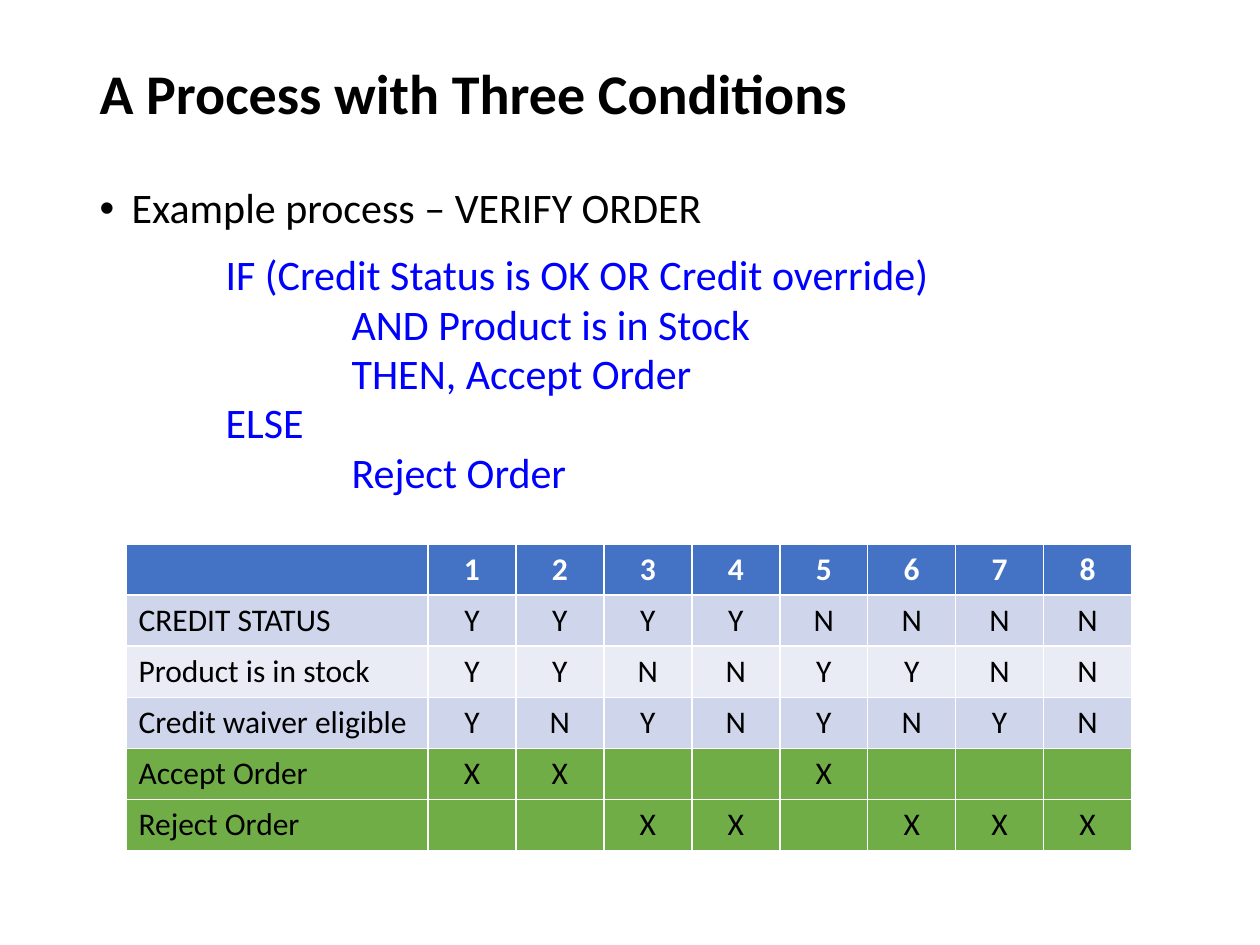
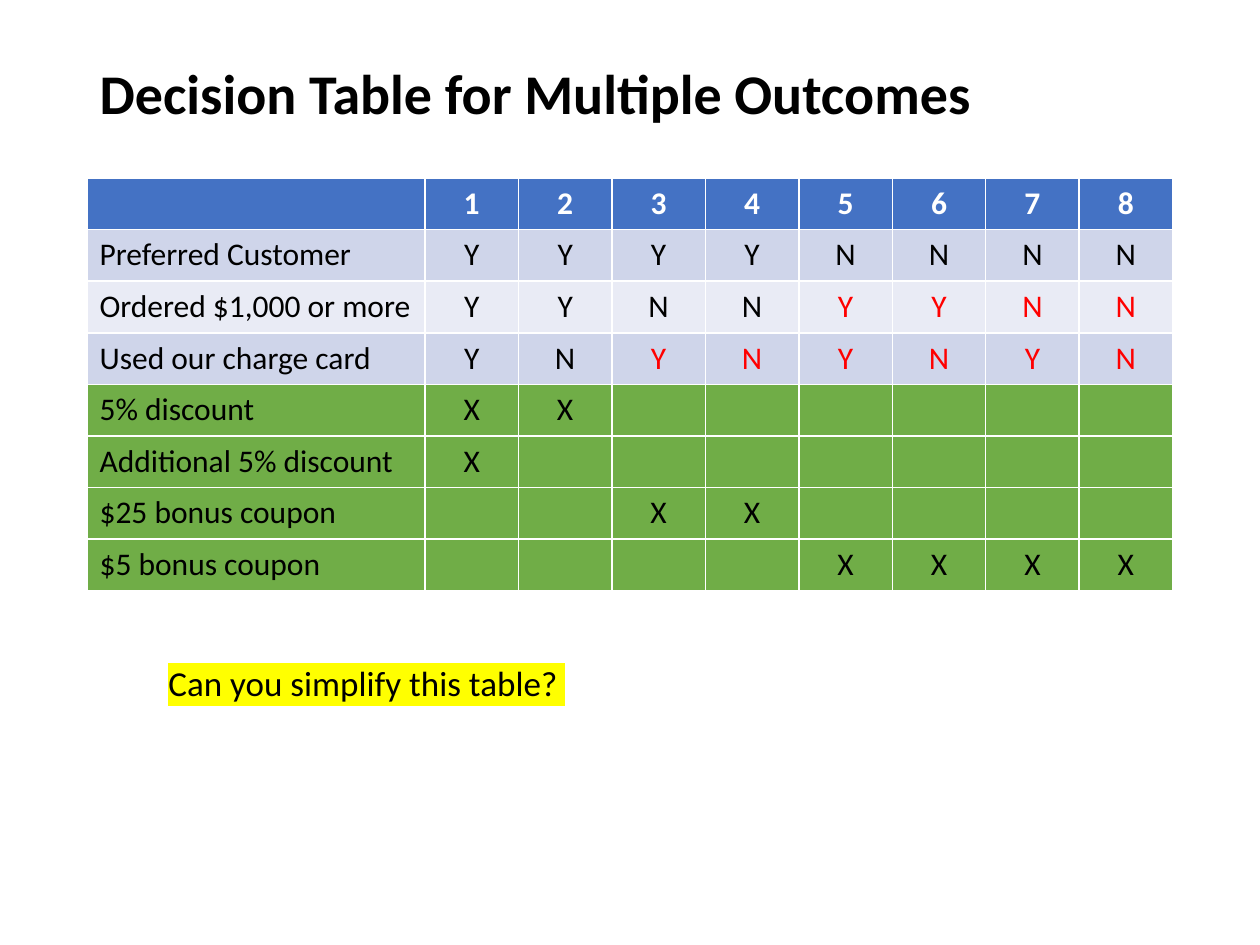
from dataclasses import dataclass

from lxml import etree
from pptx import Presentation
from pptx import util as u
from pptx.dml.color import RGBColor
from pptx.enum import text
from pptx.oxml import ns


@dataclass(frozen=True)
class Theme:
    font: str = "Calibri"
    ink: str = "000000"
    white: str = "FFFFFF"
    code: str = "0000FF"
    alert: str = "FF0000"
    mark: str = "FFFF00"
    head: str = "4472C4"
    bands: tuple = ("CFD5EA", "E9EBF5")
    act: str = "70AD47"
    title: int = 32
    body: int = 24
    note: int = 20
    cell: int = 18


theme = Theme()
left, mid = text.PP_ALIGN.LEFT, text.PP_ALIGN.CENTER


def px(n):
    """Turn pixels, 126 to the inch, into EMU."""
    return u.Emu(round(n * 914400 / 126))


def write(para, words, size, color=theme.ink, bold=False, align=left,
          margin=0, hang=0, bullet=True, glow=None):
    """Fill a paragraph; margin and hang are in px, glow is a highlight."""
    para.alignment = align
    props = para._p.get_or_add_pPr()
    props.set("marL", str(px(margin)))
    props.set("indent", str(-px(hang)))
    if not bullet:
        etree.SubElement(props, ns.qn("a:buNone"))
    run = para.add_run()
    run.text = words
    font = run.font
    font.name, font.size, font.bold = theme.font, u.Pt(size), bold
    font.color.rgb = RGBColor.from_string(color)
    if glow:
        light = etree.Element(ns.qn("a:highlight"))
        etree.SubElement(light, ns.qn("a:srgbClr"), val=glow)
        run._r.rPr.find(ns.qn("a:solidFill")).addnext(light)


deck = Presentation()
deck.slide_width, deck.slide_height = px(1260), px(945)

# Each row: label, marks for rules 1 to 8, first rule set in red (if any).
# Each table: left, top, width, height, label column width.
pages = [
    ("A Process with Three Conditions", "Title and Content",
     (126, 544, 1006, 306, 302),
     [("CREDIT STATUS", "YYYYNNNN", None),
      ("Product is in stock", "YYNNYYNN", None),
      ("Credit waiver eligible", "YNYNYNYN", None),
      ("Accept Order", "XX  X   ", None),
      ("Reject Order", "  XX XXX", None)]),
    ("Decision Table for Multiple Outcomes", "Title Only",
     (87, 178, 1086, 413, 338),
     [("Preferred Customer", "YYYYNNNN", None),
      ("Ordered $1,000 or more", "YYNNYYNN", 5),
      ("Used our charge card", "YNYNYNYN", 3),
      ("5% discount", "XX      ", None),
      ("Additional 5% discount", "X       ", None),
      ("$25 bonus coupon", "  XX    ", None),
      ("$5 bonus coupon", "    XXXX", None)]),
]

slides = []
for name, layout, (x, y, wide, high, first), rules in pages:
    slide = deck.slides.add_slide(deck.slide_layouts.get_by_name(layout))
    slides.append(slide)
    title = slide.shapes.title
    title.left, title.top, title.width, title.height = map(px, (87, 50, 1086, 93))
    frame = title.text_frame
    frame.auto_size = text.MSO_AUTO_SIZE.NONE
    frame.vertical_anchor = text.MSO_ANCHOR.MIDDLE
    frame.paragraphs[0].line_spacing = 0.9
    write(frame.paragraphs[0], name, theme.title, bold=True)

    rows = [("", "12345678", None)] + rules
    grid = slide.shapes.add_table(len(rows), 9, *map(px, (x, y, wide, high))).table
    for c, col in enumerate(grid.columns):
        col.width = px((wide - first) / 8 if c else first)
    for r, (label, marks, red) in enumerate(rows):
        grid.rows[r].height = px(high / len(rows))
        if r == 0:
            fill = theme.head
        else:
            fill = theme.act if "X" in marks else theme.bands[(r - 1) % 2]
        for c, word in enumerate([label, *marks]):
            cell = grid.cell(r, c)
            cell.fill.solid()
            cell.fill.fore_color.rgb = RGBColor.from_string(fill)
            if not word.strip():
                continue
            color = theme.white if r == 0 else theme.ink
            if red and c >= red:
                color = theme.alert
            write(cell.text_frame.paragraphs[0], word, theme.cell, color,
                  bold=r == 0, align=mid if c else left)

# Process logic on the first slide
body = slides[0].placeholders[1]
body.left, body.top, body.width, body.height = map(px, (87, 178, 1086, 673))
frame = body.text_frame
frame.auto_size = text.MSO_AUTO_SIZE.NONE
para = frame.paragraphs[0]
para.space_before, para.line_spacing = u.Pt(10), 0.98
write(para, "Example process – VERIFY ORDER", theme.body, margin=32, hang=32)
logic = [
    (1, "IF (Credit Status is OK OR Credit override)"),
    (2, "AND Product is in Stock"),
    (2, "THEN, Accept Order"),
    (1, "ELSE"),
    (2, "Reject Order"),
]
for i, (depth, line) in enumerate(logic):
    para = frame.add_paragraph()
    para.space_before, para.line_spacing = u.Pt(0 if i else 10), 0.98
    write(para, line, theme.body, theme.code, margin=126 * depth, bullet=False)

# Question on the second slide
note = slides[1].shapes.add_textbox(*map(px, (123, 655, 527, 55)))
note.text_frame.word_wrap = True
write(note.text_frame.paragraphs[0], "Can you simplify this table? ", theme.note,
      margin=33, glow=theme.mark)

deck.save("out.pptx")
